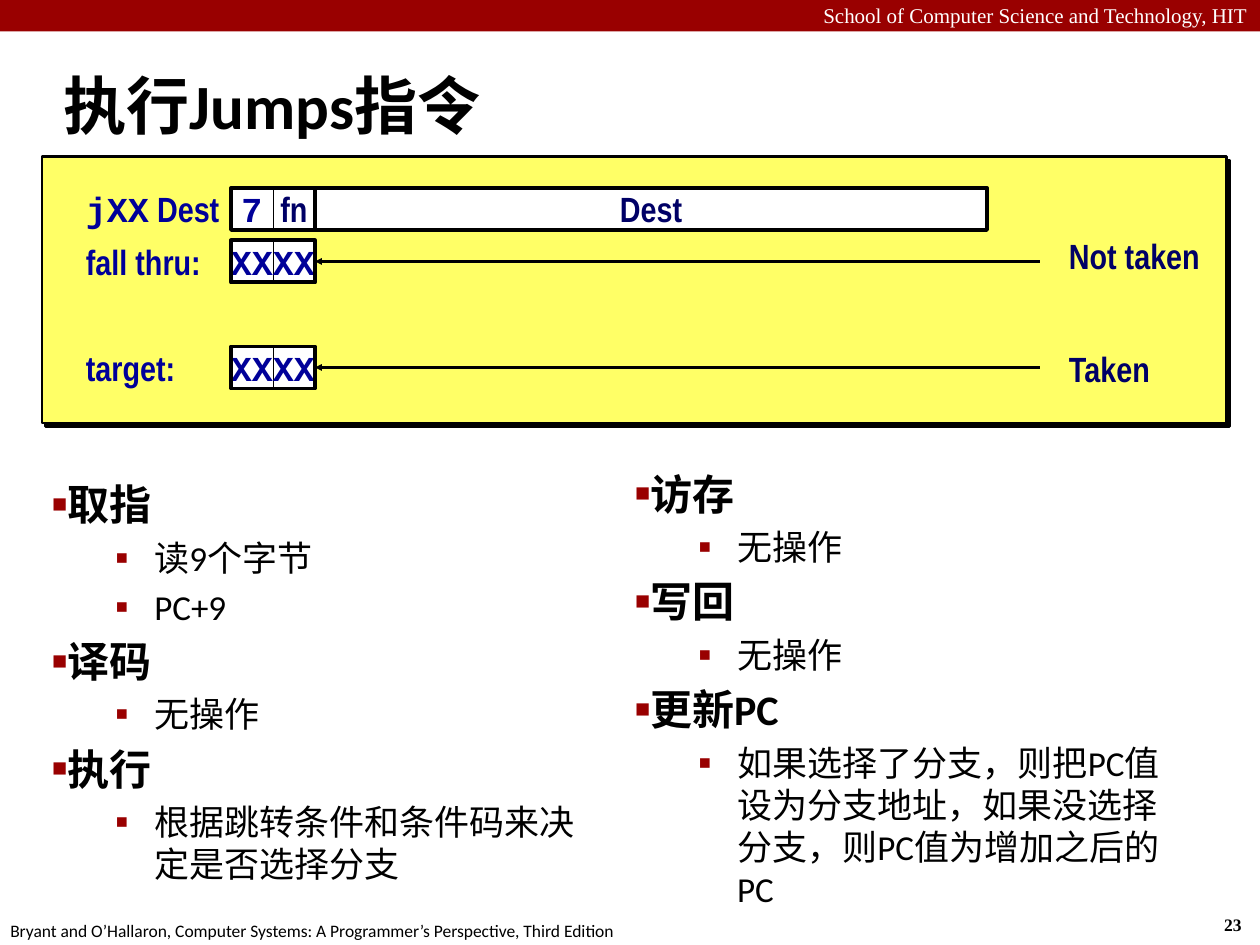
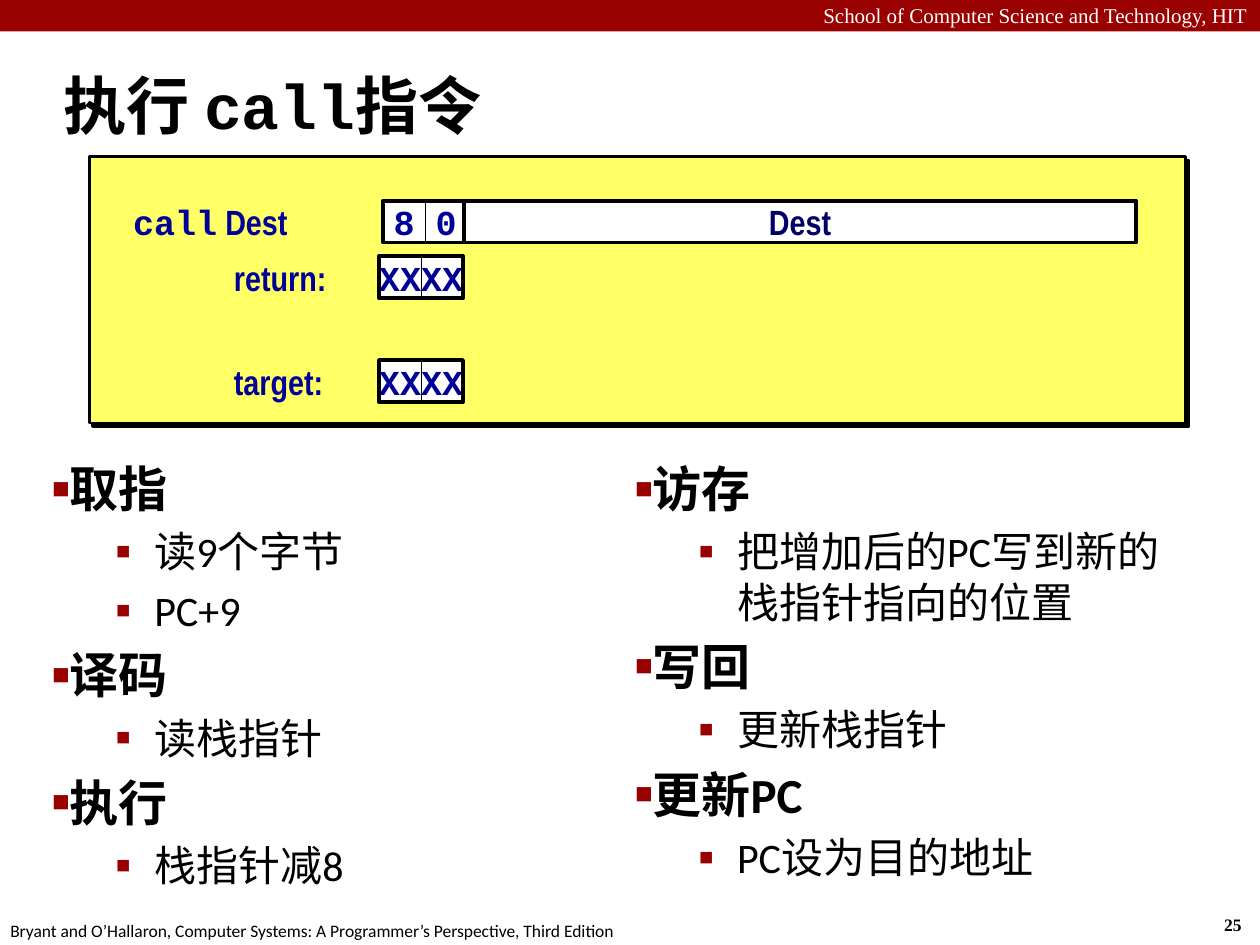
from lxml.etree import SubElement
from pptx import Presentation
from pptx.dml.color import RGBColor
from pptx.enum.shapes import MSO_CONNECTOR, MSO_SHAPE
from pptx.enum.text import MSO_ANCHOR, PP_ALIGN
from pptx.oxml.ns import qn
from pptx.util import Inches, Pt

COLORS = {
    "band": "990000",
    "panel": "FFFF66",
    "code": "000099",
    "label": "000066",
    "black": "000000",
    "white": "FFFFFF",
}
SANS, SERIF, MONO, NARROW = "Calibri", "Times New Roman", "Courier New", "Arial Narrow"

# Grid of 120 columns by 90 rows; a byte cell is 4 by 4
UNIT = Inches(10) // 120
HALF_BYTE = 4

SLIDES = [
    {
        "number": "23",
        "title": [("执行Jumps指令", SANS)],
        "panel": (4, 112.8),
        "rows": [
            # label runs, label column, row, cell column, cell texts
            ([("jXX", MONO), (" Dest", NARROW)], 7, 17.9, 22, ["7", "fn"]),
            ([("fall thru:", NARROW)], 7, 22.9, 22, ["XX", "XX"]),
            ([("target:", NARROW)], 7, 33, 22, ["XX", "XX"]),
        ],
        "destination": (30, 17.9),
        "arrows": [("Not taken", 22.9, 22.2), ("Taken", 33, 33)],
        "heading_size": 24,
        "columns": [
            ((3.8, 45, 53.5, 39.6), [
                ("取指", ["读9个字节", "PC+9"]),
                ("译码", ["无操作"]),
                ("执行", ["根据跳转条件和条件码来决定是否选择分支"]),
            ]),
            ((59.3, 44, 53.5, 41.5), [
                ("访存", ["无操作"]),
                ("写回", ["无操作"]),
                ("更新PC", ["如果选择了分支，则把PC值设为分支地址，"
                          "如果没选择分支，则PC值为增加之后的PC"]),
            ]),
        ],
    },
    {
        "number": "25",
        "title": [("执行 ", SANS), ("call指令", MONO)],
        "panel": (8.5, 104.4),
        "rows": [
            ([("call", MONO), (" Dest", NARROW)], 11.5, 19.1, 36.5, ["8", "0"]),
            ([("return:", NARROW)], 21.1, 24.4, 36.1, ["XX", "XX"]),
            ([("target:", NARROW)], 21.1, 34.3, 36.1, ["XX", "XX"]),
        ],
        "destination": (44.2, 19.1),
        "arrows": [],
        "heading_size": 28,
        "columns": [
            ((3.8, 43.1, 55.2, 39.5), [
                ("取指", ["读9个字节", "PC+9"]),
                ("译码", ["读栈指针"]),
                ("执行", ["栈指针减8"]),
            ]),
            ((59.3, 43.1, 53.5, 39.5), [
                ("访存", ["把增加后的PC写到新的栈指针指向的位置"]),
                ("写回", ["更新栈指针"]),
                ("更新PC", ["PC设为目的地址"]),
            ]),
        ],
    },
]


def write_text(paragraph, text, font=SANS, size=20, color="black", bold=False):
    run = paragraph.add_run()
    run.text = text
    run.font.name = font
    run.font.size = Pt(size)
    run.font.bold = bold
    run.font.color.rgb = RGBColor.from_string(COLORS[color])


def add_box(slide, place, runs=(), fill=None, line=None, align=PP_ALIGN.LEFT,
            anchor=MSO_ANCHOR.MIDDLE, wrap=False, inset=None, **text_format):
    """Add a rectangle, or a text box when it has neither fill nor line."""
    lengths = [round(length * UNIT) for length in place]
    if fill or line:
        shape = slide.shapes.add_shape(MSO_SHAPE.RECTANGLE, *lengths)
        shape.shadow.inherit = False
    else:
        shape = slide.shapes.add_textbox(*lengths)
    if fill:
        shape.fill.solid()
        shape.fill.fore_color.rgb = RGBColor.from_string(COLORS[fill])
    else:
        shape.fill.background()
    if line:
        shape.line.color.rgb = RGBColor.from_string(COLORS["black"])
        shape.line.width = Pt(line)
    else:
        shape.line.fill.background()
    frame = shape.text_frame
    frame.word_wrap = wrap
    frame.vertical_anchor = anchor
    if inset is not None:
        frame.margin_left = frame.margin_right = Inches(inset)
    paragraph = frame.paragraphs[0]
    paragraph.alignment = align
    for text, font in runs:
        write_text(paragraph, text, font=font, **text_format)
    return shape


presentation = Presentation()
presentation.slide_width = 120 * UNIT
presentation.slide_height = 90 * UNIT

for content in SLIDES:
    slide = presentation.slides.add_slide(presentation.slide_layouts[6])

    # Band, page number, footer and title
    add_box(slide, (0, 0, 120, 3), fill="band")
    add_box(slide, (0, -0.3, 120, 3.6),
            [("School of Computer Science and Technology, HIT", SERIF)],
            align=PP_ALIGN.RIGHT, anchor=MSO_ANCHOR.TOP, wrap=True, size=12, color="white")
    add_box(slide, (115.4, 86.5, 4.4, 3.2), [(content["number"], SERIF)],
            anchor=MSO_ANCHOR.TOP, size=10, bold=True)
    add_box(slide, (-0.2, 87, 61, 3.2),
            [("Bryant and O’Hallaron, Computer Systems: "
              "A Programmer’s Perspective, Third Edition", SANS)],
            anchor=MSO_ANCHOR.TOP, size=10)
    add_box(slide, (4.9, 4.9, 114, 10), content["title"], wrap=True, size=36, bold=True)

    # Phase lists
    for place, phases in content["columns"]:
        frame = add_box(slide, place, anchor=MSO_ANCHOR.TOP, wrap=True).text_frame
        heading_size = content["heading_size"]
        entries = []
        for heading, steps in phases:
            entries.append((heading, 0, heading_size, "■", 60))
            entries += [(step, 1, heading_size - 4, "▪", 110) for step in steps]
        for index, (text, level, size, bullet, percent) in enumerate(entries):
            paragraph = frame.add_paragraph() if index else frame.paragraphs[0]
            paragraph.level = level
            properties = paragraph._p.get_or_add_pPr()
            properties.set("marL", str(Inches(0.81) * level))
            properties.set("indent", str(-Inches(0.31) * level))
            bullet_color = SubElement(properties, qn("a:buClr"))
            SubElement(bullet_color, qn("a:srgbClr"), val=COLORS["band"])
            SubElement(properties, qn("a:buSzPct"), val=str(percent * 1000))
            SubElement(properties, qn("a:buFont"), typeface=SERIF)
            SubElement(properties, qn("a:buChar"), char=bullet)
            if index:
                paragraph.space_before = Pt(0.2 * size)
            write_text(paragraph, text, size=size, bold=level == 0)

    # Yellow panel with a hard shadow
    panel_left, panel_width = content["panel"]
    panel = add_box(slide, (panel_left, 14.9, panel_width, 25.4), fill="panel", line=1.5)
    shadow = SubElement(panel._element.spPr.find(qn("a:effectLst")), qn("a:outerShdw"),
                        blurRad="0", dist=str(Pt(2.8)), dir=str(45 * 60000),
                        algn="ctr", rotWithShape="0")
    SubElement(shadow, qn("a:srgbClr"), val=COLORS["black"])

    # Instruction bytes: label reaching to the cells, two half-byte cells, thick outline
    for label, label_left, top, cell_left, cells in content["rows"]:
        label_box = add_box(slide, (label_left, top, cell_left - label_left, HALF_BYTE),
                            label, color="code", bold=True)
        label_box.text_frame.margin_right = 0
        for index, text in enumerate(cells):
            is_function = text == "fn"
            add_box(slide, (cell_left + index * HALF_BYTE, top, HALF_BYTE, HALF_BYTE),
                    [(text, NARROW if is_function else MONO)], fill="white", line=0.5,
                    align=PP_ALIGN.CENTER, color="label" if is_function else "code", bold=True)
        add_box(slide, (cell_left, top, 2 * HALF_BYTE, HALF_BYTE), line=2.25)
    add_box(slide, (*content["destination"], 64, HALF_BYTE), [("Dest", NARROW)],
            fill="white", line=2.25, align=PP_ALIGN.CENTER, color="label", bold=True)

    # Branch arrows
    for text, row, text_top in content["arrows"]:
        ends = [round(length * UNIT) for length in (99, row + 2, 30, row + 2)]
        arrow = slide.shapes.add_connector(MSO_CONNECTOR.STRAIGHT, *ends)
        arrow.line.color.rgb = RGBColor.from_string(COLORS["black"])
        arrow.line.width = Pt(1.5)
        SubElement(arrow.line._get_or_add_ln(), qn("a:tailEnd"), type="triangle",
                   w="sm", len="sm")
        SubElement(arrow._element.spPr, qn("a:effectLst"))
        note = add_box(slide, (101.2, text_top, 13.8, 4.8), [(text, NARROW)],
                       anchor=MSO_ANCHOR.TOP, inset=0.05, color="label", bold=True)
        note.text_frame.paragraphs[0].line_spacing = 0.9

presentation.save("out.pptx")
